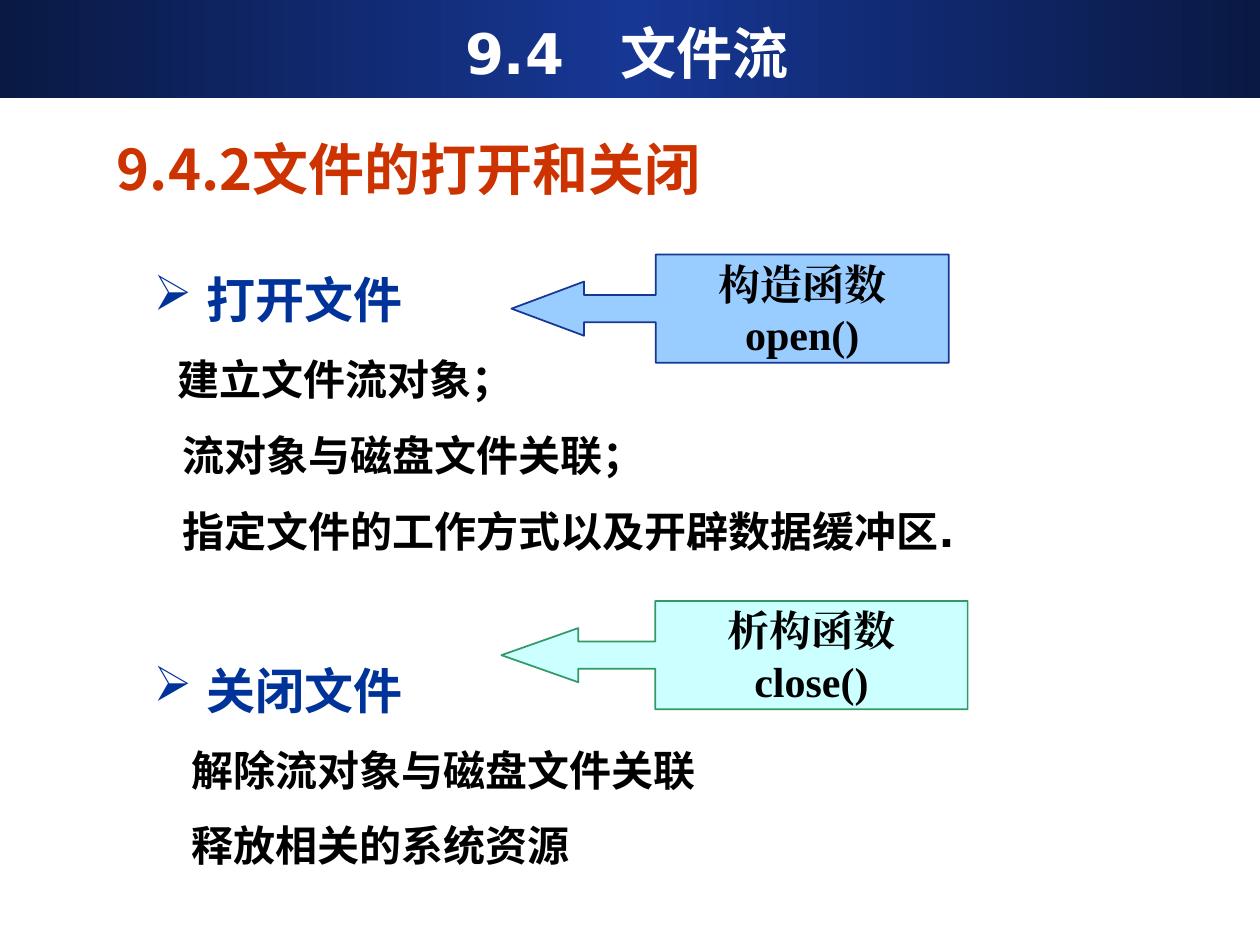
import pptx
import pptx.util
import pptx.dml.color
import pptx.enum.shapes
import pptx.enum.text
import pptx.oxml.ns
from lxml import etree

Inches = pptx.util.Inches
Pt = pptx.util.Pt
RGB = pptx.dml.color.RGBColor
SHAPES = pptx.enum.shapes.MSO_SHAPE
ANCHOR = pptx.enum.text.MSO_ANCHOR
ALIGN = pptx.enum.text.PP_ALIGN

WIDTH, HEIGHT = 10, 7.5
NAVY, BLUE, HEADING_BLUE = RGB(0x0A, 0x19, 0x44), RGB(0x16, 0x37, 0x94), RGB(0, 0x33, 0x99)
RED, WHITE, BLACK = RGB(0xCC, 0x33, 0), RGB(255, 255, 255), RGB(0, 0, 0)
SKY, AQUA, GREEN = RGB(0x99, 0xCC, 255), RGB(0xCC, 255, 255), RGB(0x33, 0x99, 0x66)
CJK, SANS, SERIF = "Noto Sans CJK SC", "DejaVu Sans", "Times New Roman"
BULLET_INDENT = 0.42

# Topic heading, space before it in points, then (indent in inches, line) pairs
TOPICS = [
    ("打开文件", 0, [(0.19, "建立文件流对象；"), (0.23, "流对象与磁盘文件关联；"),
                 (0.23, "指定文件的工作方式以及开辟数据缓冲区.")]),
    ("关闭文件", 43, [(0.3, "解除流对象与磁盘文件关联"), (0.3, "释放相关的系统资源")]),
]


def inches(box):
    return [Inches(value) for value in box]


def write(paragraph, text, font, size, color, **formats):
    for name, value in formats.items():
        setattr(paragraph, name, value)
    run = paragraph.add_run()
    run.text = text
    for name, value in {"name": font, "size": Pt(size), "bold": True}.items():
        setattr(run.font, name, value)
    run.font.color.rgb = color
    east_asian = etree.SubElement(run.font._element, pptx.oxml.ns.qn("a:ea"))
    east_asian.set("typeface", font)


def indent(paragraph, left, bullet=None):
    properties = paragraph._p.get_or_add_pPr()
    properties.set("marL", str(Inches(left)))
    properties.set("indent", str(Inches(-left if bullet else 0)))
    if bullet:
        color = etree.SubElement(properties, pptx.oxml.ns.qn("a:buClr"))
        etree.SubElement(color, pptx.oxml.ns.qn("a:srgbClr")).set("val", str(HEADING_BLUE))
        etree.SubElement(properties, pptx.oxml.ns.qn("a:buChar")).set("char", bullet)


def add_text_frame(slide, box, anchor):
    frame = slide.shapes.add_textbox(*inches(box)).text_frame
    frame.word_wrap = True
    frame.vertical_anchor = anchor
    return frame


def add_banner(slide, box, title):
    left, top, width, height = box
    banner = slide.shapes.add_shape(SHAPES.RECTANGLE, *inches(box))
    banner.shadow.inherit = False
    banner.line.fill.background()
    banner.fill.gradient()
    banner.fill.gradient_angle = 0
    stops = banner.fill._fill._gradFill.gsLst
    for stop in list(stops):
        stops.remove(stop)
    for position, color in ((0, NAVY), (50, BLUE), (100, NAVY)):
        stop = etree.SubElement(stops, pptx.oxml.ns.qn("a:gs"), pos=str(position * 1000))
        etree.SubElement(stop, pptx.oxml.ns.qn("a:srgbClr"), val=str(color))
    title_box = (left + 0.035 * width, top + 0.1, 0.925 * width, 0.8 * height)
    frame = add_text_frame(slide, title_box, ANCHOR.MIDDLE)
    write(frame.paragraphs[0], title, SANS, 32, WHITE, alignment=ALIGN.CENTER)


def add_section_heading(slide, box, text):
    frame = add_text_frame(slide, box, ANCHOR.MIDDLE)
    write(frame.paragraphs[0], text, CJK, 32, RED, space_before=Pt(8))


def add_topics(slide, box, topics):
    frame = add_text_frame(slide, box, ANCHOR.TOP)
    frame.margin_right = 0
    paragraph = frame.paragraphs[0]
    for heading, space, lines in topics:
        if space:
            paragraph = frame.add_paragraph()
        write(paragraph, heading, CJK, 28, HEADING_BLUE, line_spacing=1.5, space_before=Pt(space))
        indent(paragraph, BULLET_INDENT, "➢")
        for left, text in lines:
            paragraph = frame.add_paragraph()
            write(paragraph, text, SANS, 24, BLACK, line_spacing=1.5)
            indent(paragraph, left)


def add_callout(slide, box, lines, fill, line, head_length, body_share):
    callout = slide.shapes.add_shape(SHAPES.LEFT_ARROW_CALLOUT, *inches(box))
    callout.shadow.inherit = False
    for index, value in enumerate((0.25, 0.25, head_length, body_share)):
        callout.adjustments[index] = value
    callout.fill.solid()
    callout.fill.fore_color.rgb = fill
    callout.line.color.rgb = line
    callout.line.width = Pt(1)
    frame = callout.text_frame
    frame.word_wrap = False
    frame.vertical_anchor = ANCHOR.MIDDLE
    for index, text in enumerate(lines):
        paragraph = frame.add_paragraph() if index else frame.paragraphs[0]
        write(paragraph, text, SERIF, 24, BLACK, alignment=ALIGN.CENTER)


def main():
    presentation = pptx.Presentation()
    presentation.slide_width, presentation.slide_height = inches((WIDTH, HEIGHT))
    slide = presentation.slides.add_slide(presentation.slide_layouts[6])
    add_banner(slide, (0, 0, WIDTH, 0.78), "9.4　文件流")
    add_section_heading(slide, (0.83, 1, 6.17, 0.67), "9.4.2文件的打开和关闭")
    add_topics(slide, (1.12, 1.86, 6.69, 5.1), TOPICS)
    add_callout(slide, (4.06, 2.02, 3.47, 0.86), ("构造函数", "open()"), SKY, BLUE, 0.67, 0.67)
    add_callout(slide, (3.98, 4.77, 3.7, 0.86), ("析构函数", "close()"), AQUA, GREEN, 0.71, 0.67)
    presentation.save("out.pptx")


if __name__ == "__main__":
    main()
